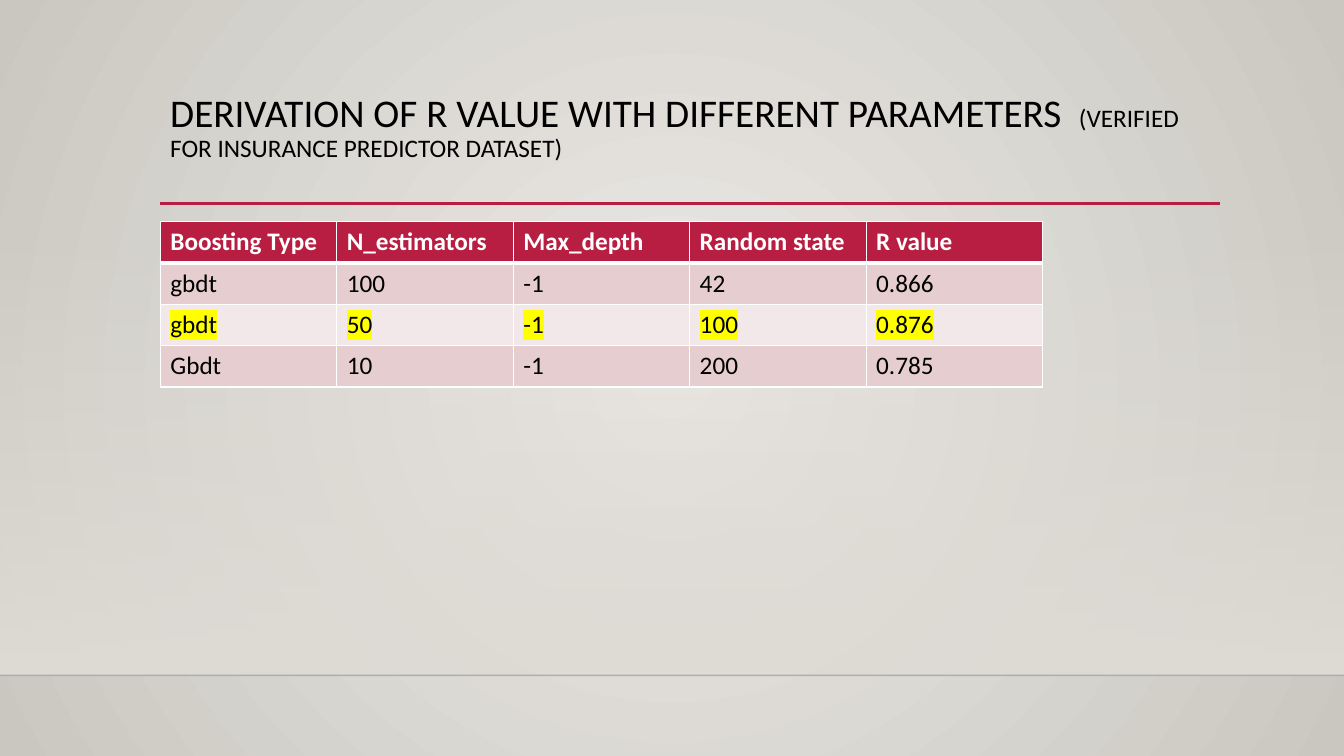
from dataclasses import dataclass

from lxml.etree import SubElement
from pptx import Presentation
from pptx.dml.color import RGBColor
from pptx.dml.fill import FillFormat
from pptx.enum.shapes import MSO_CONNECTOR as CONN, MSO_SHAPE as SHAPE
from pptx.enum.text import MSO_ANCHOR as ANCHOR
from pptx.oxml.ns import qn
from pptx.util import Inches, Pt

FONT = "Calibri"
CRIMSON, BLACK, WHITE, YELLOW = "B71E42", "000000", "FFFFFF", "FFFF00"
ROSE, PALE_ROSE = "E6CDCF", "F3E8E9"
WIDTH, LEFT = 13.33, 1.59
COL_WIDTH, ROW_HEIGHT = 1.75, 0.41


@dataclass
class Rule:
    left: float
    right: float
    y: float
    color: str
    weight: float
    opacity: int = 100


@dataclass
class Row:
    values: tuple[str, ...]
    fill: str
    color: str = BLACK
    bold: bool = False
    highlight: bool = False
    top: float = 1
    bottom: float = 1


RULES = [
    Rule(0, WIDTH, 6.7, "000001", 1, 20),
    Rule(LEFT, 12.1, 2.02, CRIMSON, 2.5),
]
ROWS = [
    Row(("Boosting Type", "N_estimators", "Max_depth", "Random state", "R value"),
        CRIMSON, WHITE, bold=True, bottom=3),
    Row(("gbdt", "100", "-1", "42", "0.866"), ROSE, top=3),
    Row(("gbdt", "50", "-1", "100", "0.876"), PALE_ROSE, highlight=True),
    Row(("Gbdt", "10", "-1", "200", "0.785"), ROSE),
]
TITLE = [
    ("DERIVATION OF R VALUE WITH DIFFERENT PARAMETERS  ", 28),
    ("(VERIFIED FOR INSURANCE PREDICTOR DATASET)", 18),
]


def rgb(color: str) -> RGBColor:
    return RGBColor.from_string(color)


def set_opacity(element, percent: int) -> None:
    clr = next(element.iter(qn("a:srgbClr")))
    SubElement(clr, qn("a:alpha"), val=str(percent * 1000))


def set_gradient(fill: FillFormat, start: str, end: str) -> None:
    fill.gradient()
    for stop, color in zip(fill.gradient_stops, (start, end)):
        stop.color.rgb = rgb(color)


def draw_background(s) -> None:
    fill = s.background.fill
    set_gradient(fill, "ECEAE7", "CAC7C1")
    grad = next(s.element.iter(qn("a:gradFill")))
    grad.remove(grad.find(qn("a:lin")))
    radial = SubElement(grad, qn("a:path"), path="circle")
    SubElement(radial, qn("a:fillToRect"), l="50000", t="50000", r="50000", b="50000")


def draw_floor_glow(s) -> None:
    sp = s.shapes.add_shape(SHAPE.RECTANGLE, 0, Inches(2.21), Inches(WIDTH), Inches(4.49))
    sp.shadow.inherit = False
    sp.line.fill.background()
    set_gradient(sp.fill, "DFDBD5", "DFDBD5")
    sp.fill.gradient_angle = 270
    set_opacity(next(sp.element.iter(qn("a:gs"))), 0)


def draw_rule(s, rule: Rule) -> None:
    y = Inches(rule.y)
    cx = s.shapes.add_connector(CONN.STRAIGHT, Inches(rule.left), y, Inches(rule.right), y)
    cx.line.color.rgb = rgb(rule.color)
    cx.line.width = Pt(rule.weight)
    if rule.opacity < 100:
        set_opacity(cx.line._ln, rule.opacity)
    SubElement(cx.element.spPr, qn("a:effectLst"))


def draw_title(s) -> None:
    tb = s.shapes.add_textbox(Inches(LEFT), Inches(0.88), Inches(10.5), Inches(1.15))
    tf = tb.text_frame
    tf.word_wrap = True
    tf.vertical_anchor = ANCHOR.TOP
    p = tf.paragraphs[0]
    p.line_spacing = 0.9
    p.font.name = FONT
    p.font.color.rgb = rgb(BLACK)
    for text, size in TITLE:
        r = p.add_run()
        r.text = text
        r.font.size = Pt(size)


def set_borders(cell, row: Row) -> None:
    tc_pr = cell._tc.get_or_add_tcPr()
    for side, weight in (("L", 1), ("R", 1), ("T", row.top), ("B", row.bottom)):
        ln = SubElement(tc_pr, qn(f"a:ln{side}"), w=str(Pt(weight)))
        solid = SubElement(ln, qn("a:solidFill"))
        SubElement(solid, qn("a:srgbClr"), val=WHITE)


def fill_cell(cell, text: str, row: Row) -> None:
    set_borders(cell, row)
    cell.fill.solid()
    cell.fill.fore_color.rgb = rgb(row.fill)
    p = cell.text_frame.paragraphs[0]
    p.font.name = FONT
    p.font.size = Pt(18)
    p.font.bold = row.bold
    p.font.color.rgb = rgb(row.color)
    r = p.add_run()
    r.text = text
    if row.highlight:
        mark = SubElement(r._r.get_or_add_rPr(), qn("a:highlight"))
        SubElement(mark, qn("a:srgbClr"), val=YELLOW)


def draw_table(s) -> None:
    cols = len(ROWS[0].values)
    table = s.shapes.add_table(
        len(ROWS), cols, Inches(LEFT), Inches(2.2),
        Inches(COL_WIDTH * cols), Inches(ROW_HEIGHT * len(ROWS))).table
    table.horz_banding = False
    for i, row in enumerate(ROWS):
        for j, text in enumerate(row.values):
            fill_cell(table.cell(i, j), text, row)


def main() -> None:
    prs = Presentation()
    prs.slide_width, prs.slide_height = Inches(WIDTH), Inches(7.5)
    s = prs.slides.add_slide(prs.slide_layouts[6])
    draw_background(s)
    draw_floor_glow(s)
    for rule in RULES:
        draw_rule(s, rule)
    draw_title(s)
    draw_table(s)
    prs.save("out.pptx")


if __name__ == "__main__":
    main()
